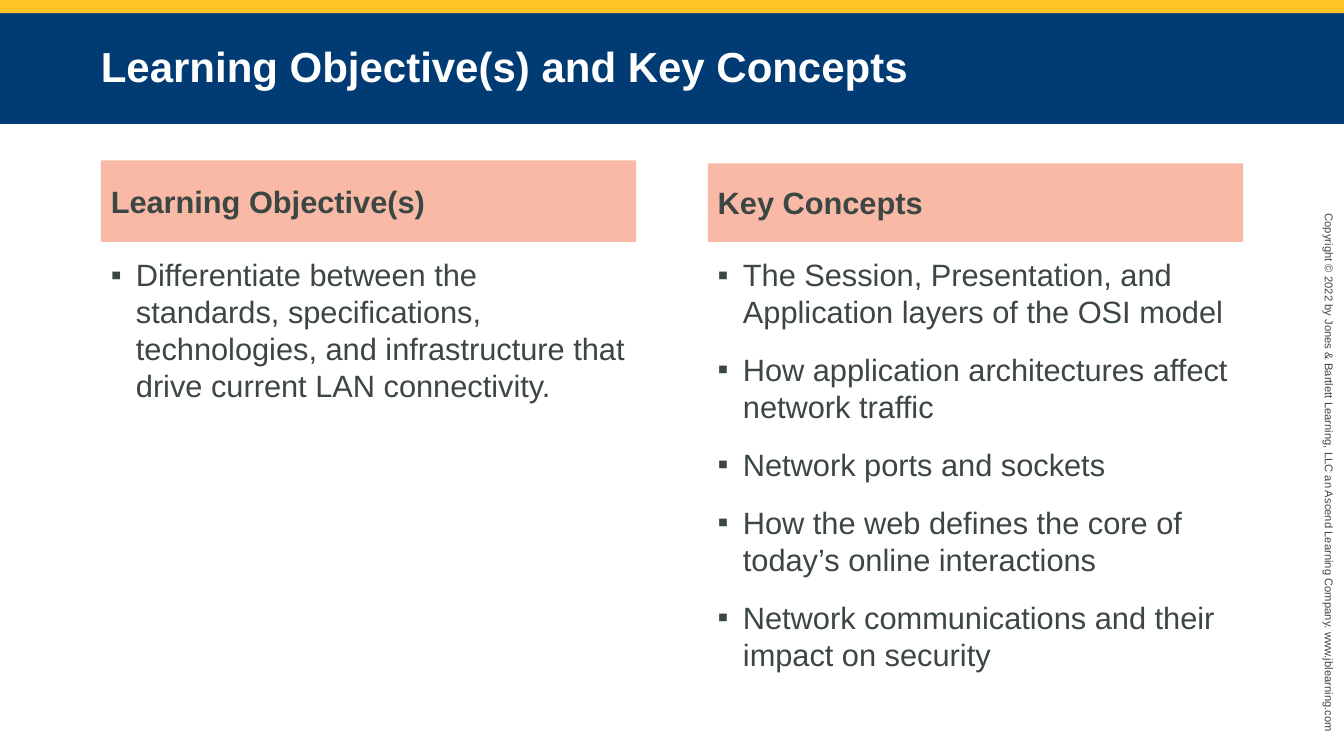
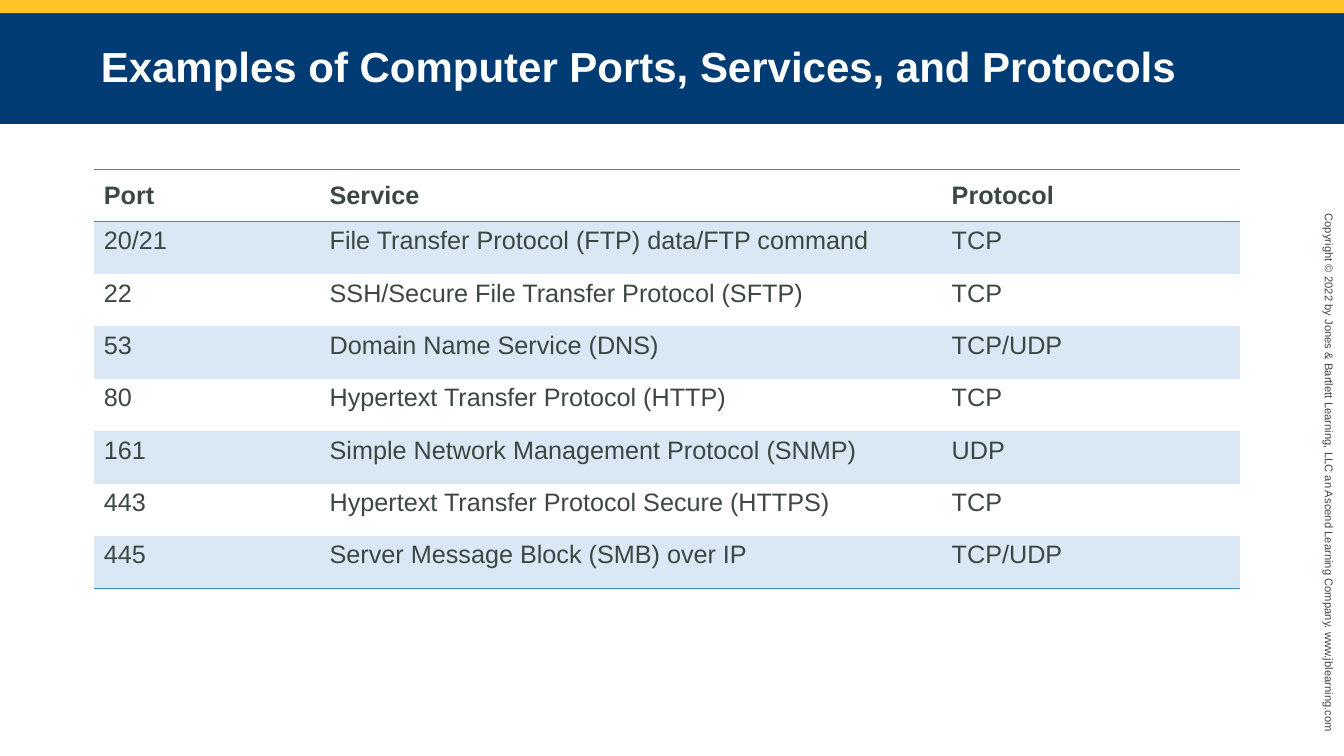
"""Build two course slides: objectives with key concepts, and a table of ports."""
import pptx
import pptx.dml.color
import pptx.enum.shapes
import pptx.enum.text
import pptx.oxml.ns
import pptx.util
from lxml import etree

PX = 9144
FONT = "Arial"
YELLOW, NAVY, PEACH, WHITE = "FFC425", "003B74", "F9B9A7", "FFFFFF"
INK, RULE_BLUE, BAND_BLUE = "3C4743", "418AC9", "D9E8F4"
SLIDE_WIDTH, SLIDE_HEIGHT = 1333, 750
STRIPE_HEIGHT, TITLE_HEIGHT = 13, 110
COLUMN_WIDTH, HEADING_BOTTOM = 531, 240
BODY_TOP, BODY_HEIGHT = 249, 428
BULLET_INDENT = 25
COPYRIGHT = ("Copyright © 2022 by Jones & Bartlett Learning, LLC an Ascend Learning "
             "Company. www.jblearning.com")
OBJECTIVES = [
    "Differentiate between the standards, specifications, technologies, and "
    "infrastructure that drive current LAN connectivity.",
]
CONCEPTS = [
    "The Session, Presentation, and Application layers of the OSI model",
    "How application architectures affect network traffic",
    "Network ports and sockets",
    "How the web defines the core of today’s online interactions",
    "Network communications and their impact on security",
]
PORT_COLUMNS = [224, 617, 296]
PORT_ROW_HEIGHT = 52
PORTS = [
    ("Port", "Service", "Protocol"),
    ("20/21", "File Transfer Protocol (FTP) data/FTP command", "TCP"),
    ("22", "SSH/Secure File Transfer Protocol (SFTP)", "TCP"),
    ("53", "Domain Name Service (DNS)", "TCP/UDP"),
    ("80", "Hypertext Transfer Protocol (HTTP)", "TCP"),
    ("161", "Simple Network Management Protocol (SNMP)", "UDP"),
    ("443", "Hypertext Transfer Protocol Secure (HTTPS)", "TCP"),
    ("445", "Server Message Block (SMB) over IP", "TCP/UDP"),
]


def px(*lengths):
    """Turn pixel lengths into a list of EMU lengths."""
    return [pptx.util.Emu(length * PX) for length in lengths]


def color(value):
    """Turn a hex string into a colour."""
    return pptx.dml.color.RGBColor.from_string(value)


def fill_solid(item, value):
    """Give a shape or a cell a plain fill."""
    item.fill.solid()
    item.fill.fore_color.rgb = color(value)


def add_run(para, text, size, ink=INK, bold=False):
    """Add one formatted run to a left-aligned paragraph."""
    para.alignment = pptx.enum.text.PP_ALIGN.LEFT
    run = para.add_run()
    run.text = text
    run.font.name = FONT
    run.font.size = pptx.util.Pt(size)
    run.font.bold = bold
    run.font.color.rgb = color(ink)


def add_child(parent, tag, **attributes):
    """Append a DrawingML element to a parent."""
    child = etree.SubElement(parent, pptx.oxml.ns.qn(tag))
    for name, value in attributes.items():
        child.set(name, str(value))
    return child


def add_box(page, left, top, width, height, fill):
    """Add a filled rectangle without outline or shadow."""
    box = page.shapes.add_shape(
        pptx.enum.shapes.MSO_SHAPE.RECTANGLE, *px(left, top, width, height))
    box.shadow.inherit = False
    fill_solid(box, fill)
    box.line.fill.background()
    return box


def add_text_frame(page, left, top, width, height, rotation=0):
    """Add a wrapping text box and return its frame."""
    box = page.shapes.add_textbox(*px(left, top, width, height))
    box.rotation = rotation
    box.text_frame.word_wrap = True
    return box.text_frame


def format_title(title, text):
    """Turn the title placeholder into the navy title band."""
    title.left, title.top, title.width, title.height = px(
        0, STRIPE_HEIGHT, SLIDE_WIDTH, TITLE_HEIGHT)
    fill_solid(title, NAVY)
    frame = title.text_frame
    frame.auto_size = pptx.enum.text.MSO_AUTO_SIZE.NONE
    frame.vertical_anchor = pptx.enum.text.MSO_ANCHOR.MIDDLE
    frame.margin_left, frame.margin_right = px(100, 100)
    para = frame.paragraphs[0]
    para.line_spacing = 0.95
    add_run(para, text, 30, WHITE, True)


def add_page(deck, title):
    """Add a slide with the shared stripe, copyright line and title."""
    page = deck.slides.add_slide(deck.slide_layouts[5])
    add_box(page, 0, 0, SLIDE_WIDTH, STRIPE_HEIGHT, YELLOW)
    frame = add_text_frame(page, 1044, 464, 548, 24, rotation=90)
    add_run(frame.paragraphs[0], COPYRIGHT, 8)
    format_title(page.shapes.title, title)
    return page


def add_bullets(frame, items):
    """Write square-bulleted paragraphs into a text frame."""
    for index, item in enumerate(items):
        para = frame.add_paragraph() if index else frame.paragraphs[0]
        properties = para._p.get_or_add_pPr()
        properties.set("marL", str(BULLET_INDENT * PX))
        properties.set("indent", str(-BULLET_INDENT * PX))
        add_child(properties, "a:buFont", typeface=FONT)
        add_child(properties, "a:buChar", char="▪")
        if index:
            para.space_before = pptx.util.Pt(15)
        add_run(para, item, 22)


def add_column(page, left, heading_top, heading, items):
    """Add a heading box with a bulleted list below it."""
    box = add_box(page, left, heading_top, COLUMN_WIDTH,
                  HEADING_BOTTOM - heading_top, PEACH)
    box.text_frame.word_wrap = True
    box.text_frame.vertical_anchor = pptx.enum.text.MSO_ANCHOR.MIDDLE
    add_run(box.text_frame.paragraphs[0], heading, 22, bold=True)
    add_bullets(add_text_frame(page, left, BODY_TOP, COLUMN_WIDTH, BODY_HEIGHT), items)


def set_borders(cell, ruled_sides):
    """Rule the named sides of a cell and clear the others."""
    properties = cell._tc.get_or_add_tcPr()
    for side in "LRTB":
        line = add_child(properties, f"a:ln{side}", w=pptx.util.Pt(1))
        if side in ruled_sides:
            add_child(add_child(line, "a:solidFill"), "a:srgbClr", val=RULE_BLUE)
        else:
            add_child(line, "a:noFill")


def format_cell(cell, text, row, last_row):
    """Write a cell with the header, band and rule of its row."""
    sides = {0: "TB", 1: "T", last_row: "B"}.get(row, "")
    set_borders(cell, sides)
    if row % 2:
        fill_solid(cell, BAND_BLUE)
    else:
        cell.fill.background()
    if row == 0:
        cell.vertical_anchor = pptx.enum.text.MSO_ANCHOR.MIDDLE
    add_run(cell.text_frame.paragraphs[0], text, 18, bold=row == 0)


def add_table(page, left, top, widths, row_height, rows):
    """Add a banded table with a bold header row."""
    frame = page.shapes.add_table(
        len(rows), len(widths),
        *px(left, top, sum(widths), row_height * len(rows)))
    table = frame.table
    table.horz_banding = False
    table.first_row = False
    for column, width in zip(table.columns, px(*widths)):
        column.width = width
    for row, texts in enumerate(rows):
        for column, text in enumerate(texts):
            format_cell(table.cell(row, column), text, row, len(rows) - 1)


def main():
    """Build and save the deck."""
    deck = pptx.Presentation()
    deck.slide_width, deck.slide_height = px(SLIDE_WIDTH, SLIDE_HEIGHT)

    page = add_page(deck, "Learning Objective(s) and Key Concepts")
    add_column(page, 100, 159, "Learning Objective(s)", OBJECTIVES)
    add_column(page, 702, 162, "Key Concepts", CONCEPTS)

    page = add_page(deck, "Examples of Computer Ports, Services, and Protocols")
    add_table(page, 93, 168, PORT_COLUMNS, PORT_ROW_HEIGHT, PORTS)

    deck.save("out.pptx")


if __name__ == "__main__":
    main()
